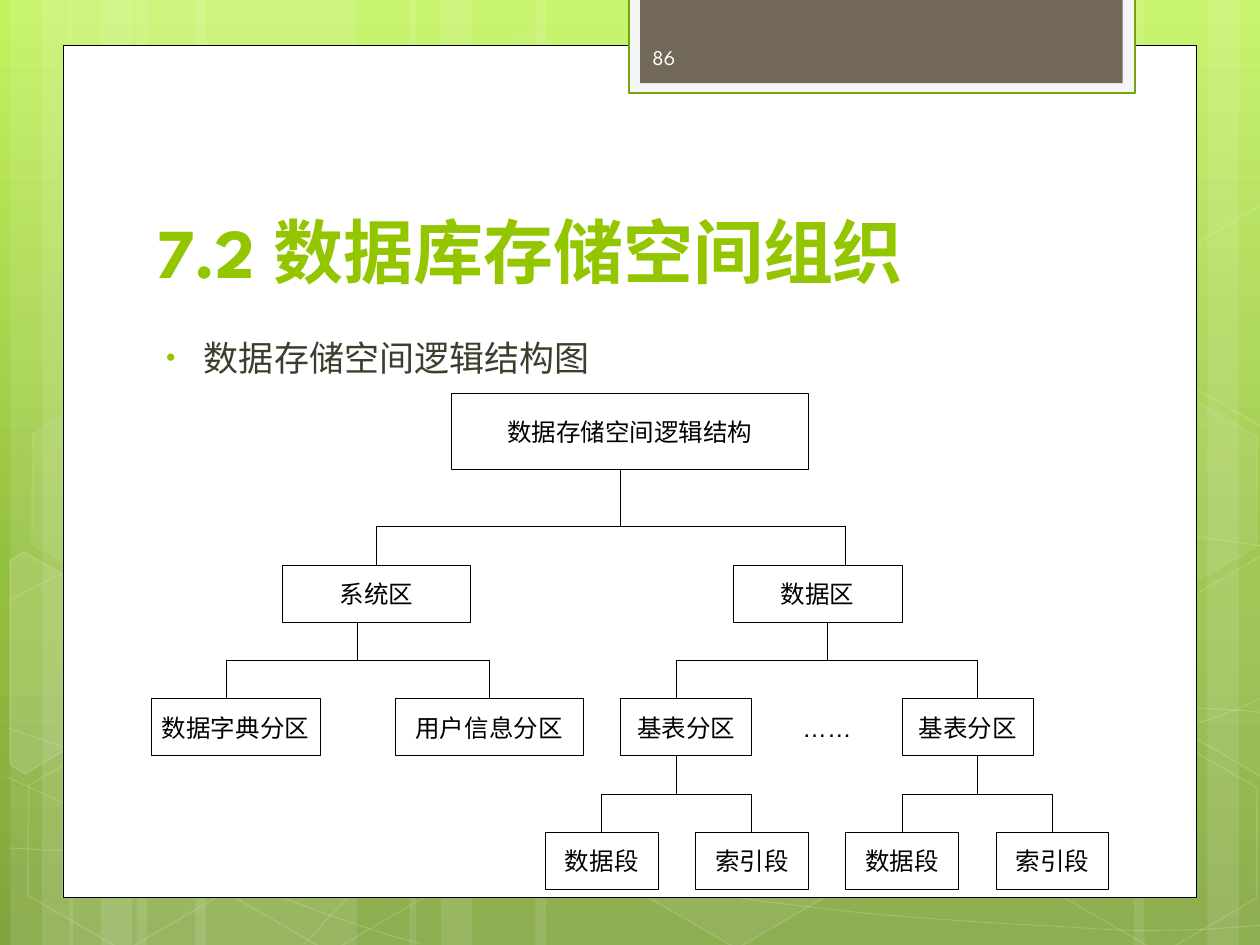
from collections import namedtuple
from copy import deepcopy

from lxml import etree
from pptx import Presentation
from pptx.dml.color import RGBColor
from pptx.enum.shapes import MSO_CONNECTOR, MSO_SHAPE
from pptx.enum.text import MSO_ANCHOR, PP_ALIGN
from pptx.oxml.ns import qn
from pptx.util import Inches, Pt

RECT, HEXAGON = MSO_SHAPE.RECTANGLE, MSO_SHAPE.HEXAGON
STRAIGHT = MSO_CONNECTOR.STRAIGHT
TOP, MIDDLE, BOTTOM = MSO_ANCHOR.TOP, MSO_ANCHOR.MIDDLE, MSO_ANCHOR.BOTTOM
LEFT, CENTER = PP_ALIGN.LEFT, PP_ALIGN.CENTER
TOP_SITE, BOTTOM_SITE = 0, 2
WHITE, BLACK, LIME = "FFFFFF", "000000", "94C600"
HEADING_FONT, DIAGRAM_FONT = "League Spartan", "Arial"
DIAGRAM_TEXT = {"size": Pt(14), "name": DIAGRAM_FONT}
TIGHT = (0.02, 0, 0.02, 0)


class Grid(namedtuple("Grid", "left top col row")):
    """Columns and rows, with their origin and pitch in inches."""

    def point(self, c, r):
        return Inches(self.left + c * self.col), Inches(self.top + r * self.row)

    def box(self, c, r, w, h):
        return (*self.point(c, r), Inches(w * self.col), Inches(h * self.row))


PAGE = Grid(0, 0, 1, 1)             # 10 columns by 7.5 rows
STREAKS = Grid(0, 0, 1 / 12, 7.5)   # 120 columns, one row
TREE = Grid(1.2, 3.12, 0.149, 3.94 / 26)  # 51 columns by 26 rows

# Tree parts: columns for box, incoming drop and outgoing stem
Node = namedtuple("Node", "label left width drop stem children", defaults=(None, ()))
TREE_TOPS, TREE_HEIGHTS = (0, 9, 16, 23), (4, 3, 3, 3)


def segments(left):
    return (Node("数据段", left, 6, left + 3), Node("索引段", left + 8, 6, left + 11))


STORAGE = Node("数据存储空间逻辑结构", 16, 19, None, 25, (
    Node("系统区", 7, 10, 12, 11, (
        Node("数据字典分区", 0, 9, 4),
        Node("用户信息分区", 13, 10, 18))),
    Node("数据区", 31, 9, 37, 36, (
        Node("基表分区", 25, 7, 28, 28, segments(21)),
        Node("基表分区", 40, 7, 44, 44, segments(37))))))


def rgb(value):
    return RGBColor.from_string(value)


def set_alpha(shape, query, percent):
    for color in shape._element.spPr.xpath(query):
        etree.SubElement(color, qn("a:alpha"), val=str(percent * 1000))


def style(shape, fill=None, line=None, width=0.5, fill_alpha=None, line_alpha=None):
    shape.shadow.inherit = False
    for part, color in ((shape.fill, fill), (shape.line.fill, line)):
        if color:
            part.solid()
            part.fore_color.rgb = rgb(color)
        else:
            part.background()
    if line:
        shape.line.width = Pt(width)
    if fill_alpha:
        set_alpha(shape, "./a:solidFill/a:srgbClr", fill_alpha)
    if line_alpha:
        set_alpha(shape, "./a:ln/a:solidFill/a:srgbClr", line_alpha)
    return shape


def add_rect(slide, box, **look):
    return style(slide.shapes.add_shape(RECT, *box), **look)


def write(shape, text, color, font, anchor=MIDDLE, align=LEFT, insets=(0.1, 0.05, 0.1, 0.05)):
    frame = shape.text_frame
    margins = zip(("left", "top", "right", "bottom"), insets)
    settings = {f"margin_{side}": Inches(inset) for side, inset in margins}
    settings |= {"word_wrap": True, "vertical_anchor": anchor}
    for name, value in settings.items():
        setattr(frame, name, value)
    paragraph = frame.paragraphs[0]
    paragraph.alignment = align
    run = paragraph.add_run()
    run.text = text
    run.font.color.rgb = rgb(color)
    for name, value in font.items():
        setattr(run.font, name, value)
    return paragraph


def add_text(slide, box, *args, **kwargs):
    return write(slide.shapes.add_textbox(*box), *args, **kwargs)


def add_line(slide, grid, start, end):
    line = slide.shapes.add_connector(STRAIGHT, *grid.point(*start), *grid.point(*end))
    line.line.color.rgb = rgb(BLACK)
    line.line.width = Pt(0.5)
    etree.SubElement(line._element.spPr, qn("a:effectLst"))
    return line


def add_outline(slide, grid, points, closed=False, **look):
    corners = [grid.point(*point) for point in points]
    builder = slide.shapes.build_freeform(*corners[0])
    builder.add_line_segments(corners[1:], close=closed)
    return style(builder.convert_to_shape(), line=WHITE, **look)


def bend(shape):
    """Turn each three straight segments into one cubic curve."""
    segments_found = shape._element.spPr.xpath(".//a:lnTo")
    for i in range(0, len(segments_found), 3):
        curve = etree.Element(qn("a:cubicBezTo"))
        segments_found[i].addprevious(curve)
        for segment in segments_found[i:i + 3]:
            curve.append(segment[0])
            segment.getparent().remove(segment)


def draw_gradient(slide):
    fill = slide.background.fill
    fill.gradient()
    fill.gradient_angle = 270
    first = fill.gradient_stops[0]._gs
    first.addnext(deepcopy(first))
    for stop, (position, color) in zip(fill.gradient_stops,
                                       ((0, "C3F35F"), (0.62, "93BF3F"), (1, "81A53E"))):
        stop.position = position
        stop.color.rgb = rgb(color)


def draw_streaks(slide, grid):
    for wide, lefts in ((21, (13, 1, 4)), (21, (18.6, 6.6, 9.6)),
                        (21, (88, 115, 108)), (37, (51, 39, 42))):
        for left, width in zip(lefts, (wide, 6, 10)):
            add_rect(slide, grid.box(left, 0, width, 1), fill=WHITE, fill_alpha=10)


def draw_waves(slide, grid):
    for points in (
        [(0.07, 6.73), (0.61, 6.76), (1.15, 6.79), (1.9, 6.78), (2.65, 6.77), (3.58, 6.75),
         (4.58, 6.65), (5.58, 6.55), (7, 6.36), (7.92, 6.17), (8.83, 5.98), (9.77, 5.68),
         (10.07, 5.51)],
        [(0.07, 4.77), (0.36, 4.61), (0.65, 4.46), (1.21, 4.31), (1.78, 4.16), (2.59, 3.94),
         (3.47, 3.87), (4.36, 3.8), (5.44, 3.79), (6.54, 3.87), (7.64, 3.95), (9.47, 4.26),
         (10.07, 4.34)],
        [(0.06, 6.17), (1.27, 6.72), (2.47, 7.27), (3.34, 7.49)],
        [(0.07, 5.78), (0.38, 5.89), (0.7, 6), (1.28, 6.16), (1.86, 6.31), (2.73, 6.56),
         (3.57, 6.73), (4.4, 6.9), (5.45, 7.08), (6.28, 7.18), (7.11, 7.29), (8, 7.33),
         (8.53, 7.36), (9.05, 7.4), (9.19, 7.38), (9.45, 7.38), (9.71, 7.37), (9.89, 7.35),
         (10.07, 7.34)],
        [(2.42, 7.49), (2.6, 7.29), (2.78, 7.09), (3.02, 6.91), (3.26, 6.73), (3.6, 6.53),
         (3.88, 6.39), (4.16, 6.25), (4.33, 6.19), (4.7, 6.09), (5.06, 5.99), (5.73, 5.85),
         (6.08, 5.78), (6.44, 5.71), (6.49, 5.71), (6.8, 5.69), (7.11, 5.66), (7.6, 5.63),
         (7.94, 5.62), (8.29, 5.61), (8.86, 5.62), (8.86, 5.62), (9.1, 5.62), (9.3, 5.62),
         (9.53, 5.62), (9.71, 5.63), (9.88, 5.64), (9.97, 5.65), (10.06, 5.66),
         (10.03, 5.65), (10.06, 5.66)],
    ):
        bend(add_outline(slide, grid, points, line_alpha=20))


def draw_hexagons(slide, grid):
    for left, top, fill_alpha, line_alpha in (
            (3.34, 0.36, 4, 8), (4.97, 5.89, 6, 12), (0.11, 5.91, None, 12),
            (0.14, 3.12, 7, 8), (1.74, 5.92, None, 12), (7.53, 4.53, 10, 12),
            (8.34, 5.93, None, 12), (8.34, 3.14, 7, 8)):
        hexagon = slide.shapes.add_shape(HEXAGON, *grid.box(left, top, 1.75, 1.52))
        hexagon.rotation = 30
        hexagon.adjustments[0], hexagon.adjustments[1] = 0.285, 1.155
        style(hexagon, WHITE if fill_alpha else None, WHITE, 1, fill_alpha, line_alpha)
    # Hexagons cut by the slide's edges
    left_cut = [(0.08, 4.45), (0.19, 4.38), (0.96, 4.82), (0.95, 5.7), (0.2, 6.14), (0.08, 6.07)]
    right_cut = [(9.26, 4.85), (10.01, 4.41), (10.09, 4.46), (10.09, 6.13), (10.02, 6.17), (9.26, 5.73)]
    upper_cut = [(x, y - 2.78) for x, y in right_cut]
    for points, alpha in ((left_cut, 10), (right_cut, 4), (upper_cut, None)):
        add_outline(slide, grid, points, True, fill=WHITE if alpha else None, width=1,
                    fill_alpha=alpha, line_alpha=12)


def draw_panel(slide, grid):
    add_rect(slide, grid.box(0.5, 0.36, 9, 6.76), fill=WHITE, line=BLACK)
    add_rect(slide, grid.box(4.99, -0.02, 4.02, 0.76), fill="F5F5F5", line="74A510", width=1.25)
    add_rect(slide, grid.box(5.08, -0.02, 3.83, 0.68), fill="71685A")


def draw_headings(slide, grid):
    add_text(slide, grid.box(1.14, 1.12, 7.68, 1.25), "7.2 数据库存储空间组织", LIME,
             {"size": Pt(40), "name": HEADING_FONT, "bold": True}, BOTTOM)
    topic = add_text(slide, grid.box(1.14, 2.54, 7.41, 3.84), "数据存储空间逻辑结构图",
                     "3E3D2D", {"size": Pt(20), "name": HEADING_FONT}, TOP)
    topic.line_spacing = 1.25
    props = topic._p.get_or_add_pPr()
    props.set("marL", str(Inches(0.38)))
    props.set("indent", str(Inches(-0.3)))
    bullet_color = etree.SubElement(props, qn("a:buClr"))
    etree.SubElement(bullet_color, qn("a:srgbClr"), val=LIME)
    etree.SubElement(props, qn("a:buSzPct"), val="76000")
    etree.SubElement(props, qn("a:buFont"), typeface=DIAGRAM_FONT)
    etree.SubElement(props, qn("a:buChar"), char="•")
    add_text(slide, grid.box(5.08, 0.25, 1.46, 0.4), "86", "FEFEFE",
             {"size": Pt(12), "name": HEADING_FONT})


def draw_tree(slide, grid, node, level=0):
    top, height = TREE_TOPS[level], TREE_HEIGHTS[level]
    box = add_rect(slide, grid.box(node.left, top, node.width, height), fill=WHITE, line=BLACK)
    write(box, node.label, BLACK, DIAGRAM_TEXT, align=CENTER, insets=TIGHT)
    if node.children:
        child_top = TREE_TOPS[level + 1]
        bus = child_top - 2
        stem = add_line(slide, grid, (node.stem, top + height), (node.stem, bus))
        if node.stem == node.left + node.width / 2:
            stem.begin_connect(box, BOTTOM_SITE)
        add_line(slide, grid, (node.children[0].drop, bus), (node.children[-1].drop, bus))
        for child in node.children:
            child_box = draw_tree(slide, grid, child, level + 1)
            drop = add_line(slide, grid, (child.drop, bus), (child.drop, child_top))
            if child.drop == child.left + child.width / 2:
                drop.end_connect(child_box, TOP_SITE)
    return box


def main():
    deck = Presentation()
    deck.slide_width, deck.slide_height = Inches(10), Inches(7.5)
    slide = deck.slides.add_slide(deck.slide_layouts[6])
    draw_gradient(slide)
    draw_streaks(slide, STREAKS)
    draw_waves(slide, PAGE)
    draw_hexagons(slide, PAGE)
    draw_panel(slide, PAGE)
    draw_headings(slide, PAGE)
    draw_tree(slide, TREE, STORAGE)
    add_text(slide, TREE.box(33, 16, 6, 3), "……", BLACK, DIAGRAM_TEXT, align=CENTER, insets=TIGHT)
    deck.save("out.pptx")


if __name__ == "__main__":
    main()
